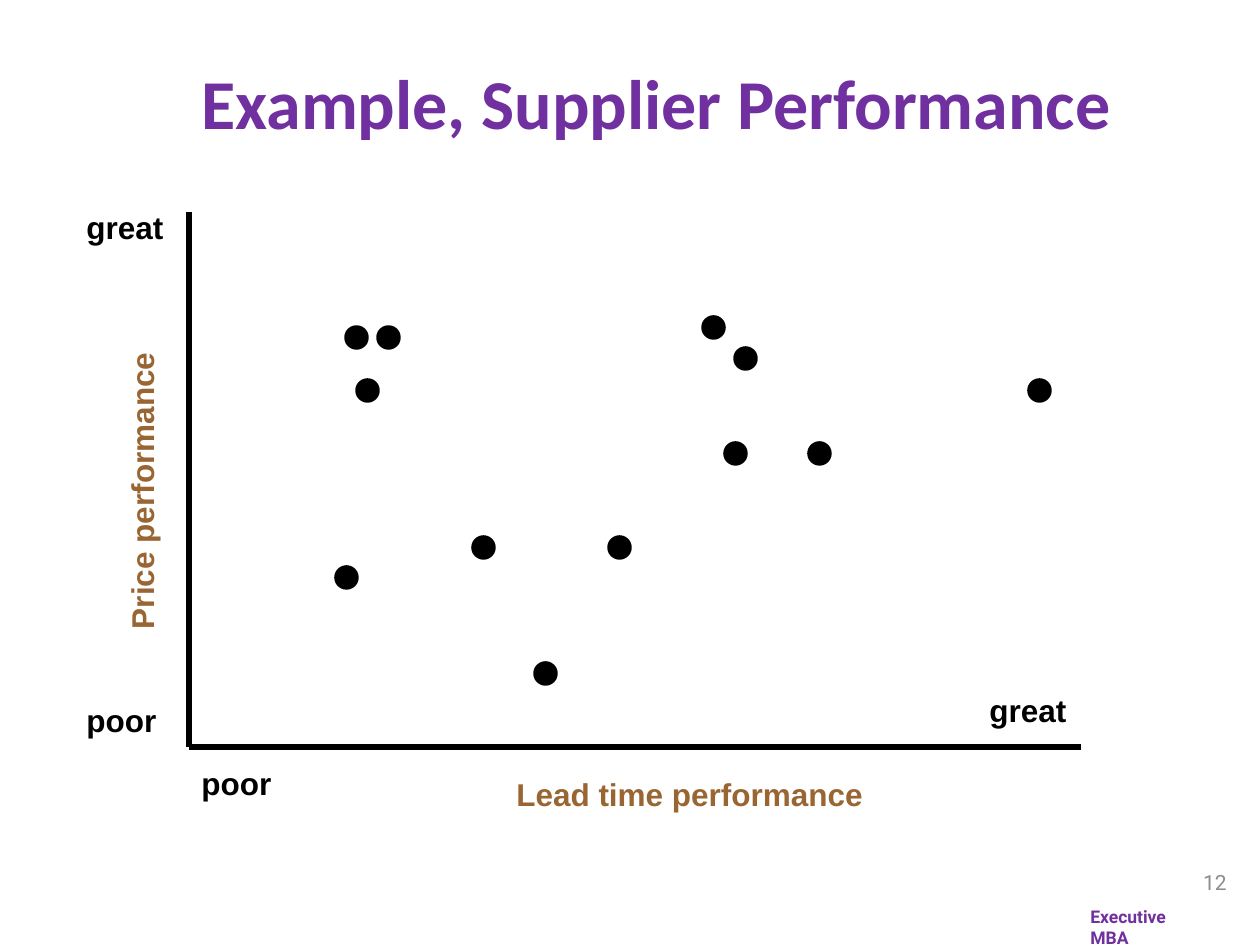
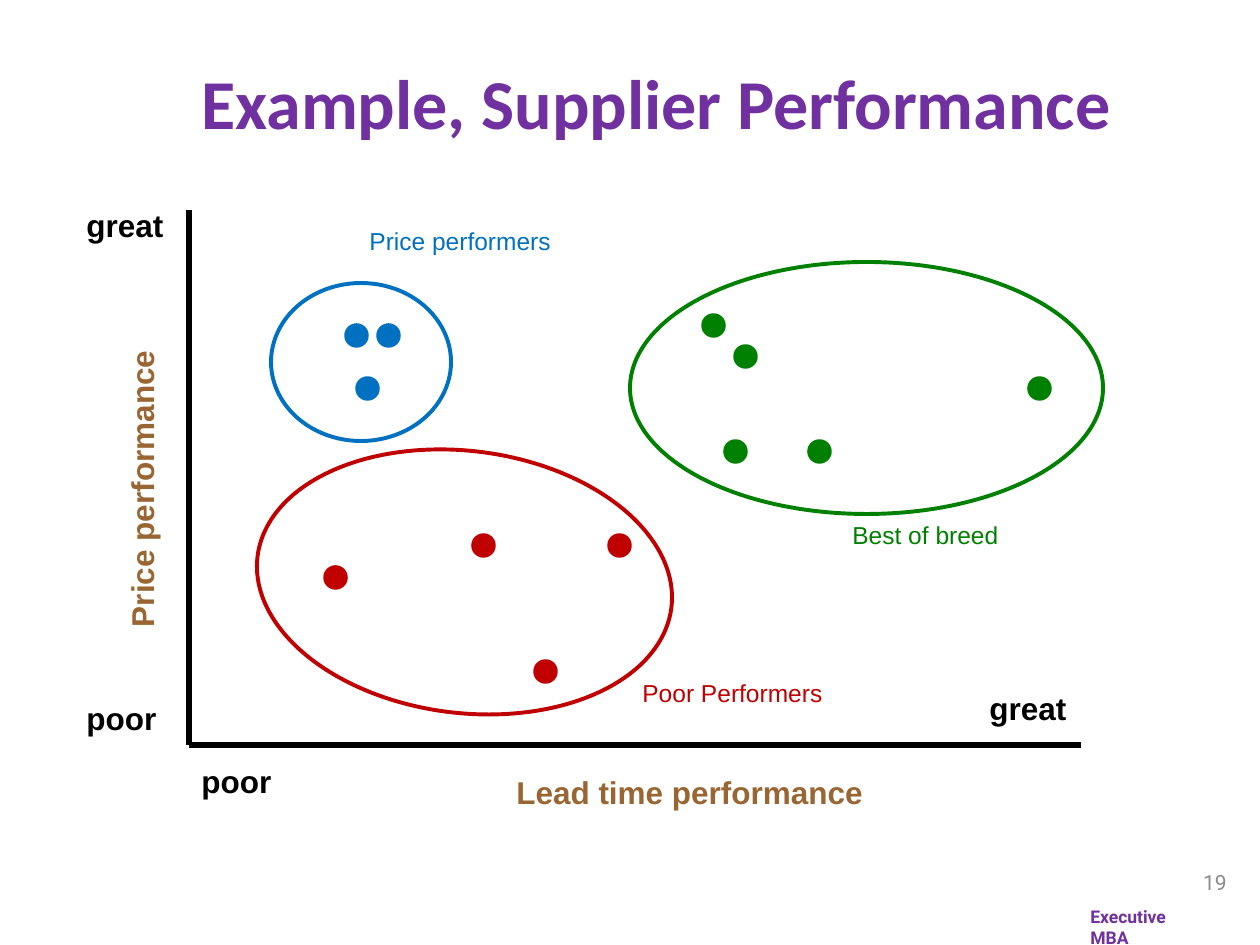
"""Build two supplier performance scatter slides, plain and grouped."""
from lxml import etree
from pptx import Presentation
from pptx.dml.color import RGBColor
from pptx.enum.shapes import MSO_CONNECTOR, MSO_SHAPE
from pptx.enum.text import MSO_ANCHOR, PP_ALIGN
from pptx.oxml.ns import qn
from pptx.util import Pt

PX = 914400 / 126
OVAL = MSO_SHAPE.OVAL
STRAIGHT = MSO_CONNECTOR.STRAIGHT
LEFT, CENTER, RIGHT = PP_ALIGN.LEFT, PP_ALIGN.CENTER, PP_ALIGN.RIGHT
TOP, MIDDLE = MSO_ANCHOR.TOP, MSO_ANCHOR.MIDDLE

BLACK = RGBColor(0x00, 0x00, 0x00)
PURPLE = RGBColor(0x70, 0x30, 0xA0)
GRAY = RGBColor(0x8C, 0x8C, 0x8C)
BROWN = RGBColor(0x99, 0x66, 0x33)
BLUE = RGBColor(0x00, 0x70, 0xC0)
GREEN = RGBColor(0x00, 0x80, 0x00)
RED = RGBColor(0xC0, 0x00, 0x00)

TITLE = {"name": "Calibri", "size": Pt(40), "bold": True}
BRAND = {"name": "Roboto", "size": Pt(10), "bold": True}
NUMBER = {"name": "Roboto", "size": Pt(12), "bold": False}
AXIS = {"name": "Arial", "size": Pt(18), "bold": True}
GROUP = {"name": "Arial", "size": Pt(14), "bold": False}

DOT = 21
AXIS_LINES = [(189, 210, 189, 745), (1081, 745, 189, 745)]
AXIS_LABELS = [
    ("Lead time performance", (504, 767, 375, 50), BROWN, 0),
    ("great", (977, 683, 103, 50), BLACK, 0),
    ("great", (74, 200, 103, 50), BLACK, 0),
    ("poor", (74, 693, 96, 50), BLACK, 0),
    ("poor", (189, 756, 96, 50), BLACK, 0),
    ("Price performance", (-11, 462, 305, 50), BROWN, 270),
]
DOTS = {
    BLUE: [(346, 325), (378, 325), (357, 378)],
    GREEN: [(703, 315), (735, 346), (725, 441), (809, 441), (1029, 378)],
    RED: [(473, 535), (609, 535), (535, 661)],
}
CLUSTERS = [
    ("Best of breed", GREEN, (630, 262, 473, 252), 0, (840, 514, 173, 43)),
    ("Poor Performers", RED, (256, 451, 417, 262), 7.1, (630, 672, 207, 43)),
    ("Price performers", BLUE, (271, 283, 180, 158), 0, (357, 220, 208, 43)),
]
SLIDES = [("12", 2, (336, 565), False), ("19", 0, (325, 567), True)]


def add_text(s, text, box, style, color, align=LEFT, anchor=TOP, wrap=False):
    sp = s.shapes.add_textbox(*[round(v * PX) for v in box])
    tf = sp.text_frame
    tf.word_wrap = wrap
    tf.vertical_anchor = anchor
    p = tf.paragraphs[0]
    p.alignment = align
    r = p.add_run()
    r.text = text
    for name, value in style.items():
        setattr(r.font, name, value)
    r.font.color.rgb = color
    return sp


def add_oval(s, box, color, width, filled):
    sp = s.shapes.add_shape(OVAL, *[round(v * PX) for v in box])
    sp.shadow.inherit = False
    if filled:
        sp.fill.solid()
        sp.fill.fore_color.rgb = color
    else:
        sp.fill.background()
    sp.line.color.rgb = color
    sp.line.width = Pt(width)
    return sp


prs = Presentation()
prs.slide_width = round(1260 * PX)
prs.slide_height = round(945 * PX)

for number, drop, stray, grouped in SLIDES:
    s = prs.slides.add_slide(prs.slide_layouts[6])
    add_text(s, "Executive MBA", (1078, 900, 106, 21), BRAND, PURPLE, wrap=True)
    add_text(s, number, (977, 851, 262, 63), NUMBER, GRAY, RIGHT, MIDDLE, True)

    for color, spots in DOTS.items():
        for x, y in spots + ([stray] if color == RED else []):
            add_oval(s, (x, y + drop, DOT, DOT), color if grouped else BLACK, 2, True)

    for x1, y1, x2, y2 in AXIS_LINES:
        ends = (x1, y1 + drop, x2, y2 + drop)
        sp = s.shapes.add_connector(STRAIGHT, *[round(v * PX) for v in ends])
        sp.line.color.rgb = BLACK
        sp.line.width = Pt(3)
        etree.SubElement(sp._element.spPr, qn("a:effectLst"))

    for text, (x, y, w, h), color, angle in AXIS_LABELS:
        sp = add_text(s, text, (x, y + drop, w, h), AXIS, color)
        sp.rotation = angle

    if grouped:
        for text, color, ring, angle, label in CLUSTERS:
            sp = add_oval(s, ring, color, 2.25, False)
            sp.rotation = angle
            add_text(s, text, label, GROUP, color)

    add_text(s, "Example, Supplier Performance", (105, 53, 1102, 95), TITLE, PURPLE, CENTER, wrap=True)

prs.save("out.pptx")
